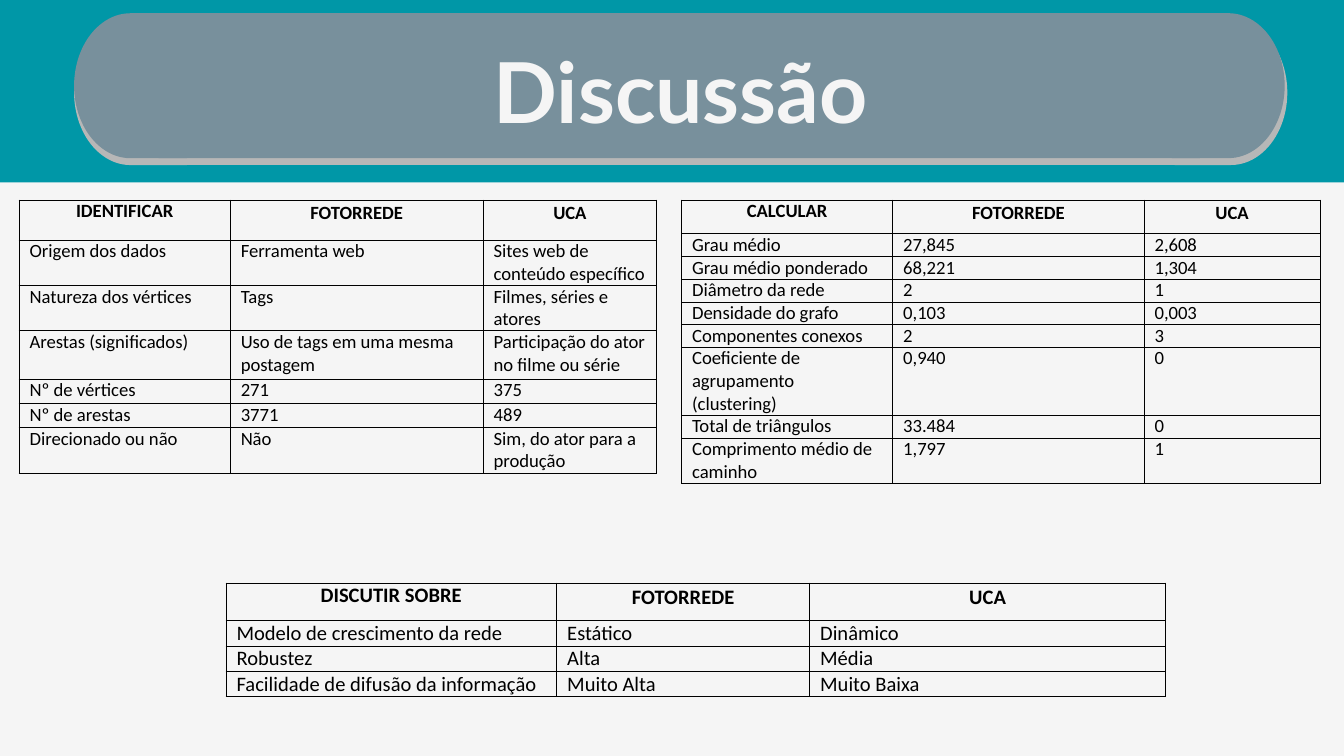
from dataclasses import dataclass

from lxml import etree
from pptx import Presentation
from pptx.dml.color import RGBColor
from pptx.enum import shapes, text
from pptx.oxml import ns
from pptx.util import Cm, Pt

TEAL = RGBColor(0x00, 0x97, 0xA7)
SLATE = RGBColor(0x78, 0x90, 0x9C)
GREY = RGBColor(0xB7, 0xB7, 0xB7)
PAPER = RGBColor(0xF5, 0xF5, 0xF5)
BLACK = RGBColor(0x00, 0x00, 0x00)

NETWORKS = ("FOTORREDE", "UCA")


@dataclass
class Pill:
    left: float
    top: float
    width: float
    color: RGBColor
    height: float = 2.74
    cap: float = 2.13
    inset: float = 1.6


@dataclass
class Comparison:
    left: float
    top: float
    columns: tuple[float, ...]
    row_heights: tuple[float, ...]
    heading: str
    rows: list[tuple[str, str, str]]
    size: int = 10


PILLS = [Pill(1.4, 0.38, 22.93, GREY), Pill(1.4, 0.25, 22.88, SLATE)]

COMPARISONS = [
    Comparison(
        0.36, 3.78, (3.99, 4.78, 3.28),
        (0.76, 0.46, 0.46, 0.91, 0.46, 0.46, 0.46),
        "IDENTIFICAR",
        [
            ("Origem dos dados", "Ferramenta web", "Sites web de conteúdo específico"),
            ("Natureza dos vértices", "Tags", "Filmes, séries e atores"),
            ("Arestas (significados)", "Uso de tags em uma mesma postagem",
             "Participação do ator no filme ou série"),
            ("Nº de vértices", "271", "375"),
            ("Nº de arestas", "3771", "489"),
            ("Direcionado ou não", "Não", "Sim, do ator para a produção"),
        ],
    ),
    Comparison(
        4.27, 11.02, (6.25, 4.78, 6.73), (0.71,) + (0.03,) * 3,
        "DISCUTIR SOBRE",
        [
            ("Modelo de crescimento da rede", "Estático", "Dinâmico"),
            ("Robustez", "Alta", "Média"),
            ("Facilidade de difusão da informação", "Muito Alta", "Muito Baixa"),
        ],
        size=11,
    ),
    Comparison(
        12.88, 3.78, (3.99, 4.75, 3.33), (0.64,) + (0.03,) * 8,
        "CALCULAR",
        [
            ("Grau médio", "27,845", "2,608"),
            ("Grau médio ponderado", "68,221", "1,304"),
            ("Diâmetro da rede", "2", "1"),
            ("Densidade do grafo", "0,103", "0,003"),
            ("Componentes conexos", "2", "3"),
            ("Coeficiente de agrupamento (clustering)", "0,940", "0"),
            ("Total de triângulos", "33.484", "0"),
            ("Comprimento médio de caminho", "1,797", "1"),
        ],
    ),
]


def write(frame, words: str, *, size: float, font: str = "Calibri",
          color: RGBColor = BLACK, bold: bool = False, align=text.PP_ALIGN.LEFT,
          line_spacing: float = 1.0, space_after: float = 0) -> None:
    paragraph = frame.paragraphs[0]
    paragraph.alignment = align
    paragraph.line_spacing = line_spacing
    paragraph.space_before = Pt(0)
    paragraph.space_after = Pt(space_after)
    run = paragraph.add_run()
    run.text = words
    run.font.name = font
    run.font.size = Pt(size)
    run.font.bold = bold
    run.font.color.rgb = color


def add_block(container, kind, left: float, top: float, width: float,
              height: float, color: RGBColor, rotation: float = 0) -> None:
    shape = container.add_shape(kind, Cm(left), Cm(top), Cm(width), Cm(height))
    shape.shadow.inherit = False
    shape.fill.solid()
    shape.fill.fore_color.rgb = color
    shape.line.fill.background()
    shape.rotation = rotation


def add_pill(slide, pill: Pill) -> None:
    group = slide.shapes.add_group_shape().shapes
    kinds = shapes.MSO_SHAPE
    add_block(group, kinds.RECTANGLE, pill.left + pill.inset, pill.top,
              pill.width - 2 * pill.inset, pill.height, pill.color)
    right = pill.left + pill.width - pill.cap
    for left, rotation in ((pill.left, 180), (right, 0)):
        add_block(group, kinds.FLOWCHART_DELAY, left, pill.top,
                  pill.cap, pill.height, pill.color, rotation)


def format_cell(cell) -> None:
    cell.margin_left = cell.margin_right = Cm(0.2)
    cell.margin_top = cell.margin_bottom = 0
    cell.vertical_anchor = text.MSO_ANCHOR.TOP
    properties = cell._tc.get_or_add_tcPr()
    for side in ("lnL", "lnR", "lnT", "lnB"):
        border = etree.SubElement(properties, ns.qn(f"a:{side}"), w=str(Pt(0.5)))
        fill = etree.SubElement(border, ns.qn("a:solidFill"))
        etree.SubElement(fill, ns.qn("a:srgbClr"), val=str(BLACK))
    cell.fill.background()


def add_comparison(slide, comparison: Comparison) -> None:
    rows = [(comparison.heading, *NETWORKS), *comparison.rows]
    table = slide.shapes.add_table(
        len(rows), len(comparison.columns), Cm(comparison.left), Cm(comparison.top),
        Cm(sum(comparison.columns)), Cm(sum(comparison.row_heights))).table
    table.first_row = table.horz_banding = False
    for column, width in zip(table.columns, comparison.columns):
        column.width = Cm(width)
    for row, height in zip(table.rows, comparison.row_heights):
        row.height = Cm(height)
    for row_index, row in enumerate(rows):
        for column_index, words in enumerate(row):
            cell = table.cell(row_index, column_index)
            format_cell(cell)
            style = {}
            if row_index == 0:
                style = {"bold": True, "align": text.PP_ALIGN.CENTER}
                if column_index > 0:
                    style |= {"line_spacing": 1.08, "space_after": 8}
            write(cell.text_frame, words, size=comparison.size, **style)


def place_title(slide, words: str) -> None:
    title = slide.shapes.title
    title.left, title.top = Cm(2.59), Cm(0.74)
    title.width, title.height = Cm(20.55), Cm(1.93)
    frame = title.text_frame
    frame.word_wrap = True
    frame.auto_size = text.MSO_AUTO_SIZE.NONE
    frame.vertical_anchor = text.MSO_ANCHOR.MIDDLE
    frame.margin_left = frame.margin_right = Cm(0.25)
    frame.margin_top = frame.margin_bottom = Cm(0.25)
    write(frame, words, size=45, font="Lato", color=PAPER, bold=True,
          align=text.PP_ALIGN.CENTER)
    title._element.getparent().append(title._element)


def main() -> None:
    presentation = Presentation()
    presentation.slide_width, presentation.slide_height = Cm(25.4), Cm(14.29)
    slide = presentation.slides.add_slide(presentation.slide_layouts[5])
    slide.background.fill.solid()
    slide.background.fill.fore_color.rgb = PAPER
    add_block(slide.shapes, shapes.MSO_SHAPE.RECTANGLE, 0, 0, 25.4, 3.45, TEAL)
    for pill in PILLS:
        add_pill(slide, pill)
    place_title(slide, "Discussão")
    for comparison in COMPARISONS:
        add_comparison(slide, comparison)
    presentation.save("out.pptx")


if __name__ == "__main__":
    main()
